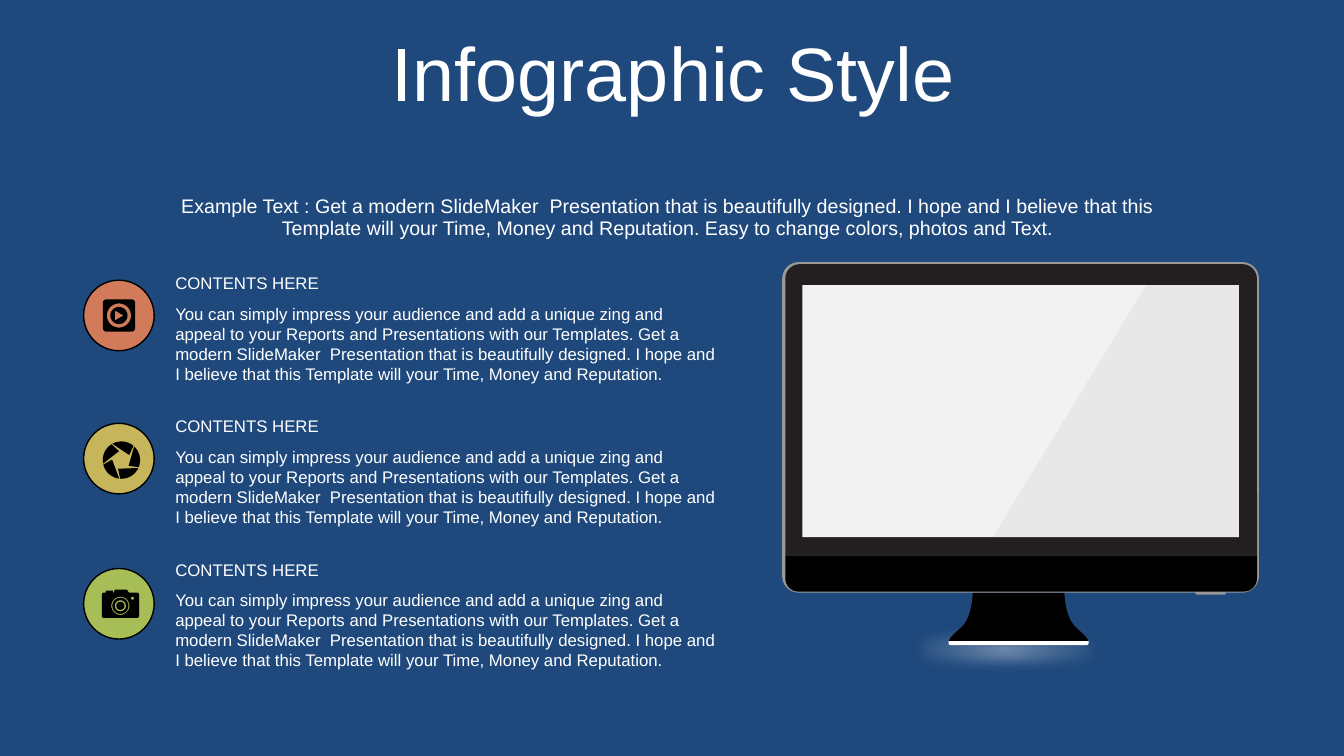
import math

import pptx
import pptx.dml.color
import pptx.enum.shapes
import pptx.enum.text
import pptx.oxml
import pptx.oxml.ns
import pptx.util

# The grid: cells of a tenth of an inch, 133.33 columns by 75 rows
CELL = pptx.util.Inches(0.1)
ROW_PITCH = 14.2
SHAPE = pptx.enum.shapes.MSO_SHAPE
CENTER = pptx.enum.text.PP_ALIGN.CENTER
MIDDLE = pptx.enum.text.MSO_ANCHOR.MIDDLE
DRAWING_NS = pptx.oxml.ns.nsdecls("a")

INTRO = (
    "Example Text : Get a modern SlideMaker  Presentation that is beautifully "
    "designed. I hope and I believe that this Template will your Time, Money "
    "and Reputation. Easy to change colors, photos and Text."
)
HEADING = "CONTENTS HERE"
DETAIL = (
    "You can simply impress your audience and add a unique zing and appeal to "
    "your Reports and Presentations with our Templates. Get a modern SlideMaker  "
    "Presentation that is beautifully designed. I hope and I believe that this "
    "Template will your Time, Money and Reputation."
)


def cells(*values):
    return [pptx.util.Emu(round(value * CELL)) for value in values]


def paint(fill, color, opacity=100):
    fill.solid()
    fill.fore_color.rgb = pptx.dml.color.RGBColor.from_string(color)
    if opacity < 100:
        color_node = fill._xPr.find(".//" + pptx.oxml.ns.qn("a:srgbClr"))
        color_node.append(pptx.oxml.parse_xml(
            f'<a:alpha {DRAWING_NS} val="{opacity * 1000}"/>'))


def finish(shape, color, opacity=100):
    shape.shadow.inherit = False
    paint(shape.fill, color, opacity)
    shape.line.fill.background()
    return shape


def preset(slide, kind, box, color, opacity=100, rounding=()):
    shape = slide.shapes.add_shape(kind, *cells(*box))
    for index, share in enumerate(rounding):
        shape.adjustments[index] = share
    return finish(shape, color, opacity)


def outline(slide, contours, color, opacity=100, origin=(0, 0)):
    """Draw closed contours as one shape; nested contours cut holes."""
    builder = None
    for contour in contours:
        points = [cells(x + origin[0], y + origin[1]) for x, y in contour]
        if builder is None:
            builder = slide.shapes.build_freeform(*points[0])
        else:
            builder.move_to(*points[0])
        builder.add_line_segments(points[1:], close=True)
    return finish(builder.convert_to_shape(), color, opacity)


def polar(radius, degrees, center=(0, 0)):
    angle = math.radians(degrees)
    return (center[0] + radius * math.cos(angle),
            center[1] + radius * math.sin(angle))


def circle(radius, center=(0, 0)):
    return [polar(radius, degrees, center) for degrees in range(0, 360, 10)]


def curve(start, pull_a, pull_b, end, steps=12):
    points = []
    for step in range(steps + 1):
        t = step / steps
        weights = ((1 - t) ** 3, 3 * t * (1 - t) ** 2, 3 * t * t * (1 - t), t ** 3)
        points.append(tuple(
            sum(w * v for w, v in zip(weights, axis))
            for axis in zip(start, pull_a, pull_b, end)))
    return points


def rounded(left, top, right, bottom, radius):
    corners = ((right - radius, bottom - radius), (left + radius, bottom - radius),
               (left + radius, top + radius), (right - radius, top + radius))
    return [polar(radius, 90 * quarter + turn, corner)
            for quarter, corner in enumerate(corners) for turn in range(0, 91, 15)]


# Text
def write(frame, text, size, centered=False):
    frame.word_wrap = True
    frame.text = text
    paragraph = frame.paragraphs[0]
    paragraph.font.name = "Arial"
    paragraph.font.size = pptx.util.Pt(size)
    paragraph.font.color.rgb = pptx.dml.color.RGBColor.from_string("FFFFFF")
    if centered:
        frame.vertical_anchor = MIDDLE
        paragraph.alignment = CENTER
        paragraph.line_spacing = 0.9


def text_box(slide, box, text, size, centered=False):
    write(slide.shapes.add_textbox(*cells(*box)).text_frame, text, size, centered)


def title(slide, text):
    heading = slide.shapes.title
    heading.left, heading.top, heading.width, heading.height = cells(
        3.5, 3.7, 126.6, 7.9)
    write(heading.text_frame, text, 54, centered=True)


# Icons, measured from the centre of their disc
def play_icon():
    triangle = [(-0.4, -0.5), (0.45, 0), (-0.4, 0.5)]
    return [rounded(-1.6, -1.6, 1.6, 1.6, 0.35), circle(1.2), circle(0.85), triangle]


def aperture_icon():
    center = (0.25, 0.15)
    blades = []
    for turn in range(143, 143 + 360, 72):
        rim = [polar(1.85, turn + degrees, center) for degrees in range(26, 96, 3)]
        blades.append(rim + [polar(0.92, turn + 112, center)])
    return blades


def camera_icon():
    lens = (0.15, 0.2)
    body = rounded(-1.7, -1.1, 2, 1.4, 0.2)
    finder = [(1, -1.1), (0.8, -1.4), (-0.4, -1.4), (-0.5, -1.1), (-0.6, -1.1),
              (-0.6, -1.3), (-1.3, -1.3), (-1.3, -1.1)]
    rings = [circle(radius, lens) for radius in (0.9, 0.8, 0.55, 0.4)]
    return [body, finder, *rings, circle(0.15, (1.35, -0.55))]


def disc(slide, top, color, icon):
    badge = preset(slide, SHAPE.OVAL, (8.3, top, 7, 7), color, 80)
    paint(badge.line.fill, "000000")
    badge.line.width = pptx.util.Pt(1)
    outline(slide, icon, "000000", origin=(11.8, top + 3.5))


# Monitor
def glow(slide):
    light = preset(slide, SHAPE.OVAL, (75.5, 61.9, 48.5, 4.9), "FFFFFF")
    stops = "".join(
        f'<a:gs pos="{place}000"><a:srgbClr val="FFFFFF">'
        f'<a:alpha val="{opacity}000"/></a:srgbClr></a:gs>'
        for place, opacity in ((0, 35), (41, 0), (100, 0)))
    gradient = pptx.oxml.parse_xml(
        f'<a:gradFill {DRAWING_NS} rotWithShape="1"><a:gsLst>{stops}</a:gsLst>'
        '<a:path path="circle"><a:fillToRect l="50000" t="50000" r="50000" '
        'b="50000"/></a:path></a:gradFill>')
    properties = light._element.spPr
    properties.replace(properties.find(pptx.oxml.ns.qn("a:solidFill")), gradient)
    properties.find(pptx.oxml.ns.qn("a:effectLst")).append(
        pptx.oxml.parse_xml(f'<a:softEdge {DRAWING_NS} rad="112500"/>'))


def monitor(slide):
    glow(slide)
    foot_side = (
        curve((105.6, 58.8), (105.6, 58.8), (105.6, 61), (106.6, 62.1))
        + curve((106.6, 62.1), (107.6, 63.1), (109.1, 64), (106.5, 64)))
    mirrored = [(202.1 - x, y) for x, y in reversed(foot_side)]
    outline(slide, [foot_side + mirrored], "000000")
    capped = SHAPE.ROUND_2_SAME_RECTANGLE
    preset(slide, SHAPE.ROUNDED_RECTANGLE, (77.6, 26, 47.3, 32.8), "999999",
           rounding=[0.05])
    preset(slide, capped, (118.6, 58.7, 3, 0.3), "999999", rounding=(0, 0.5))
    preset(slide, capped, (77.9, 26.2, 46.8, 28.9), "231F20", rounding=(0.05, 0))
    preset(slide, capped, (94.1, 63.6, 13.9, 0.4), "FFFFFF", rounding=(0, 0.5))
    preset(slide, capped, (77.9, 55.1, 46.8, 3.6), "000000", rounding=(0, 0.36))
    preset(slide, SHAPE.RECTANGLE, (79.6, 28.3, 43.3, 25), "F2F2F2")
    glare = [(113.7, 28.3), (122.9, 28.3), (122.9, 53.3), (98.5, 53.3)]
    outline(slide, [glare], "999999", 10)


def main():
    deck = pptx.Presentation()
    deck.slide_width, deck.slide_height = cells(133.33, 75)
    slide = deck.slides.add_slide(deck.slide_layouts[5])
    paint(slide.background.fill, "1F497D")

    monitor(slide)
    title(slide, "Infographic Style")
    text_box(slide, (13, 18.1, 106.5, 7.1), INTRO, 14, centered=True)

    # Content rows
    badges = ((27.8, "FF8853", play_icon()), (42, "F0D152", aperture_icon()),
              (56.4, "CADA4C", camera_icon()))
    for row, badge in enumerate(badges):
        top = 26.6 + row * ROW_PITCH
        disc(slide, *badge)
        text_box(slide, (16.4, top, 55.9, 3), HEADING, 12)
        text_box(slide, (16.4, top + 3, 55.9, 9.1), DETAIL, 12)

    deck.save("out.pptx")


if __name__ == "__main__":
    main()
